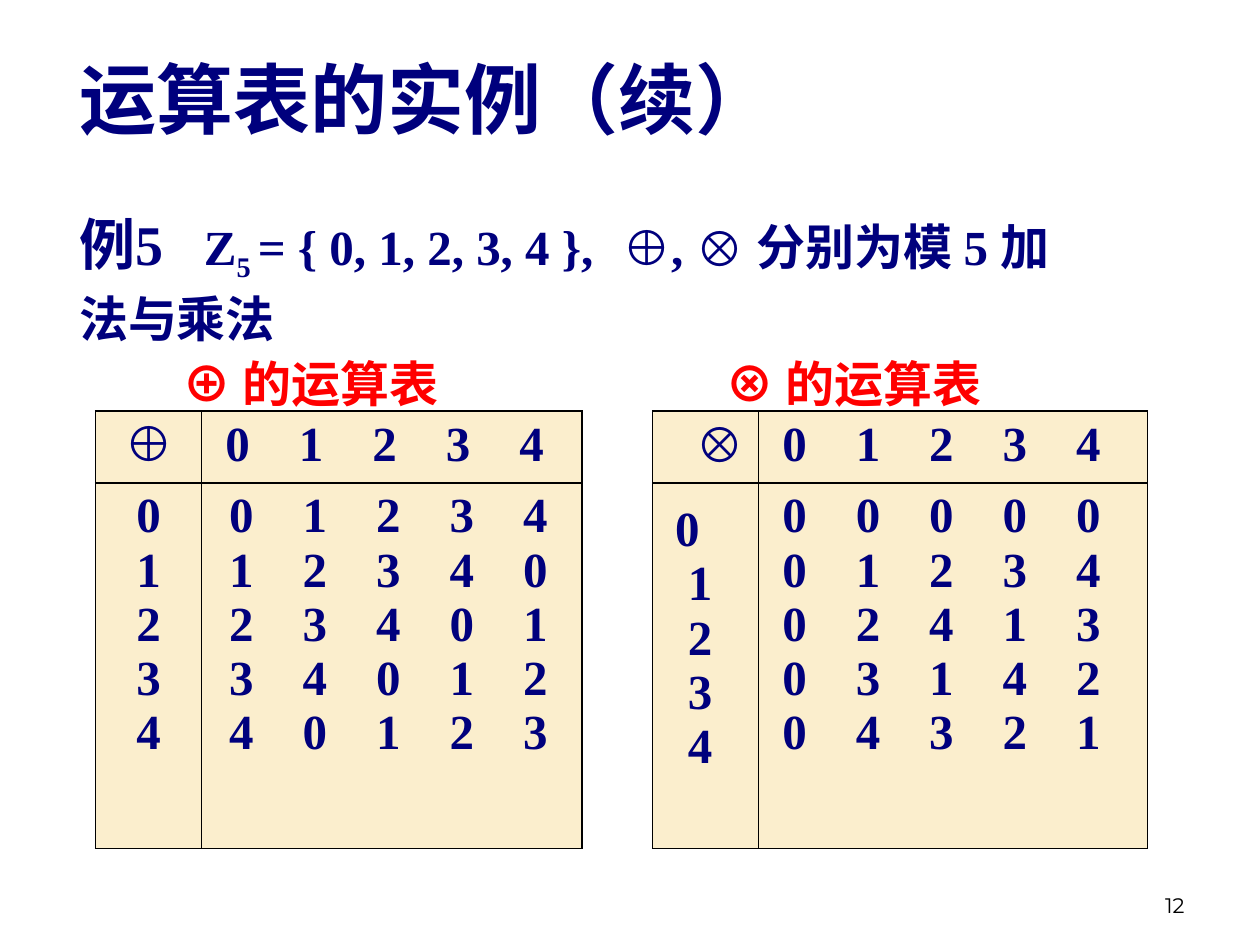
from dataclasses import dataclass

import pptx
import pptx.dml.color
import pptx.enum.text
import pptx.oxml
import pptx.oxml.ns
import pptx.util

SLIDE_WIDTH, SLIDE_HEIGHT = 10, 7.5
COLORS = {"navy": "00007D", "red": "FF0000", "black": "000000", "cream": "FBEECD"}
SERIF, SANS, CHINESE = "Times New Roman", "Arial", "Noto Sans CJK SC"
ALIGN = pptx.enum.text.PP_ALIGN
ANCHOR = pptx.enum.text.MSO_ANCHOR
DIGIT_STEP = 0.583
MODULUS = 5


@dataclass
class Box:
    """A rectangle in shares of the slide's size."""
    left: float
    top: float
    width: float
    height: float

    def lengths(self) -> list:
        return [pptx.util.Inches(share * side) for share, side in (
            (self.left, SLIDE_WIDTH), (self.top, SLIDE_HEIGHT),
            (self.width, SLIDE_WIDTH), (self.height, SLIDE_HEIGHT))]


@dataclass
class Piece:
    """A stretch of text in one format."""
    text: str
    size: float = 28
    color: str = "navy"
    font: str = SERIF
    bold: bool = True
    baseline: int = 0
    chinese: bool = True


@dataclass
class CellText:
    lines: list
    align: ALIGN = ALIGN.LEFT
    margin_left: float = 0.1
    margin_top: float = 0.05
    later_indent: float = 0
    font: str = SERIF


def place(shape, box: Box) -> None:
    shape.left, shape.top, shape.width, shape.height = box.lengths()


def format_run(run, piece: Piece) -> None:
    font = run.font
    font.size, font.bold, font.name = pptx.util.Pt(piece.size), piece.bold, piece.font
    font.color.rgb = pptx.dml.color.RGBColor.from_string(COLORS[piece.color])
    properties = run._r.get_or_add_rPr()
    if piece.baseline:
        properties.set("baseline", str(piece.baseline * 1000))
    if piece.chinese:
        latin = properties.find(pptx.oxml.ns.qn("a:latin"))
        latin.addnext(pptx.oxml.parse_xml(
            f'<a:ea {pptx.oxml.ns.nsdecls("a")} typeface="{CHINESE}"/>'))


def add_tabs(paragraph, stops: list) -> None:
    tabs = "".join(f'<a:tab pos="{pptx.util.Inches(stop)}" algn="l"/>' for stop in stops)
    paragraph._p.get_or_add_pPr().append(pptx.oxml.parse_xml(
        f'<a:tabLst {pptx.oxml.ns.nsdecls("a")}>{tabs}</a:tabLst>'))


def fill_paragraph(paragraph, pieces: list) -> None:
    for piece in pieces:
        run = paragraph.add_run()
        run.text = piece.text
        format_run(run, piece)


def set_borders(cell, visible: dict) -> None:
    properties = cell._tc.get_or_add_tcPr()
    for index, side in enumerate(("L", "R", "T", "B")):
        paint = (f'<a:solidFill><a:srgbClr val="{COLORS["black"]}"/></a:solidFill>'
                 if side in visible else "<a:noFill/>")
        properties.insert(index, pptx.oxml.parse_xml(
            f'<a:ln{side} {pptx.oxml.ns.nsdecls("a")} w="12700">{paint}</a:ln{side}>'))


def fill_cell(cell, content: CellText) -> None:
    cell.margin_left = pptx.util.Inches(content.margin_left)
    cell.margin_top = pptx.util.Inches(content.margin_top)
    cell.fill.solid()
    cell.fill.fore_color.rgb = pptx.dml.color.RGBColor.from_string(COLORS["cream"])
    set_borders(cell, "LRTB")
    cell.text_frame.text = "\n".join(content.lines)
    for index, paragraph in enumerate(cell.text_frame.paragraphs):
        paragraph.alignment = content.align
        if index and content.later_indent:
            indent = pptx.util.Inches(content.later_indent)
            paragraph._p.get_or_add_pPr().set("marL", str(indent))
        if "\t" in paragraph.text:
            add_tabs(paragraph, [DIGIT_STEP * step for step in range(1, MODULUS)])
        for run in paragraph.runs:
            format_run(run, Piece(run.text, font=content.font, chinese=False))


def add_operation_tables(slide, box: Box) -> None:
    table = slide.shapes.add_table(2, 5, *box.lengths()).table
    table.first_row = table.horz_banding = False
    for column, width in zip(table.columns, (0.84, 3.02, 0.56, 0.84, 3.09)):
        column.width = pptx.util.Inches(width)
    for row, height in zip(table.rows, (0.57, 2.9)):
        row.height = pptx.util.Inches(height)

    # Operation results, computed modulo five
    numbers = range(MODULUS)
    labels = [str(number) for number in numbers]
    header = ["\t".join(labels)]
    sums = ["\t".join(str((a + b) % MODULUS) for b in numbers) for a in numbers]
    products = ["\t".join(str(a * b % MODULUS) for b in numbers) for a in numbers]
    contents = {
        (0, 0): CellText(["⊕"], ALIGN.CENTER),
        (0, 1): CellText(header, margin_left=0.19),
        (0, 3): CellText(["⊗"], margin_left=0.34, font=SANS),
        (0, 4): CellText(header, margin_left=0.19),
        (1, 0): CellText(labels, ALIGN.CENTER),
        (1, 1): CellText(sums, margin_left=0.22),
        (1, 3): CellText(labels, margin_left=0.18, margin_top=0.16, later_indent=0.1),
        (1, 4): CellText(products, margin_left=0.19),
    }
    for (row, column), content in contents.items():
        fill_cell(table.cell(row, column), content)

    # Empty gap between the two tables
    for row in range(2):
        table.cell(row, 2).fill.background()
        set_borders(table.cell(row, 2), "LR")
    table.cell(0, 2).merge(table.cell(1, 2))


def add_title(slide, text: str, box: Box) -> None:
    title = slide.shapes.title
    place(title, box)
    title.text_frame.text = text
    title.text_frame.vertical_anchor = ANCHOR.MIDDLE
    paragraph = title.text_frame.paragraphs[0]
    paragraph.alignment = ALIGN.LEFT
    format_run(paragraph.runs[0], Piece(text, size=44, font=SANS))


def add_example(slide, box: Box) -> None:
    frame = slide.shapes.add_textbox(*box.lengths()).text_frame
    frame.word_wrap = True
    paragraphs = [
        ([0.99, 4.31], [
            Piece("例5\t", size=32), Piece("Z"), Piece("5 ", baseline=-25),
            Piece("= { 0, 1, 2, 3, 4 },\t⊕, ⊗ 分别为模 5 加法与乘法")]),
        ([0.82, 5.13], [
            Piece("\t⊕ 的运算表\t", color="red"),
            Piece("⊗ ", color="red", font=SANS), Piece("的运算表", color="red")]),
    ]
    for index, (stops, pieces) in enumerate(paragraphs):
        paragraph = frame.add_paragraph() if index else frame.paragraphs[0]
        paragraph.line_spacing = 1.1
        add_tabs(paragraph, stops)
        fill_paragraph(paragraph, pieces)


def add_page_number(slide, text: str, box: Box) -> None:
    frame = slide.shapes.add_textbox(*box.lengths()).text_frame
    frame.word_wrap = True
    frame.vertical_anchor = ANCHOR.BOTTOM
    frame.paragraphs[0].alignment = ALIGN.RIGHT
    fill_paragraph(frame.paragraphs[0], [
        Piece(text, 12, "black", "Montserrat", bold=False, chinese=False)])


def main() -> None:
    presentation = pptx.Presentation()
    presentation.slide_width = pptx.util.Inches(SLIDE_WIDTH)
    presentation.slide_height = pptx.util.Inches(SLIDE_HEIGHT)
    slide = presentation.slides.add_slide(presentation.slide_layouts[5])
    add_page_number(slide, "12", Box(0.717, 0.911, 0.233, 0.067))
    add_title(slide, "运算表的实例（续）", Box(0.053, 0.035, 0.858, 0.136))
    add_example(slide, Box(0.053, 0.207, 0.805, 0.231))
    add_operation_tables(slide, Box(0.076, 0.435, 0.835, 0.463))
    presentation.save("out.pptx")


if __name__ == "__main__":
    main()
